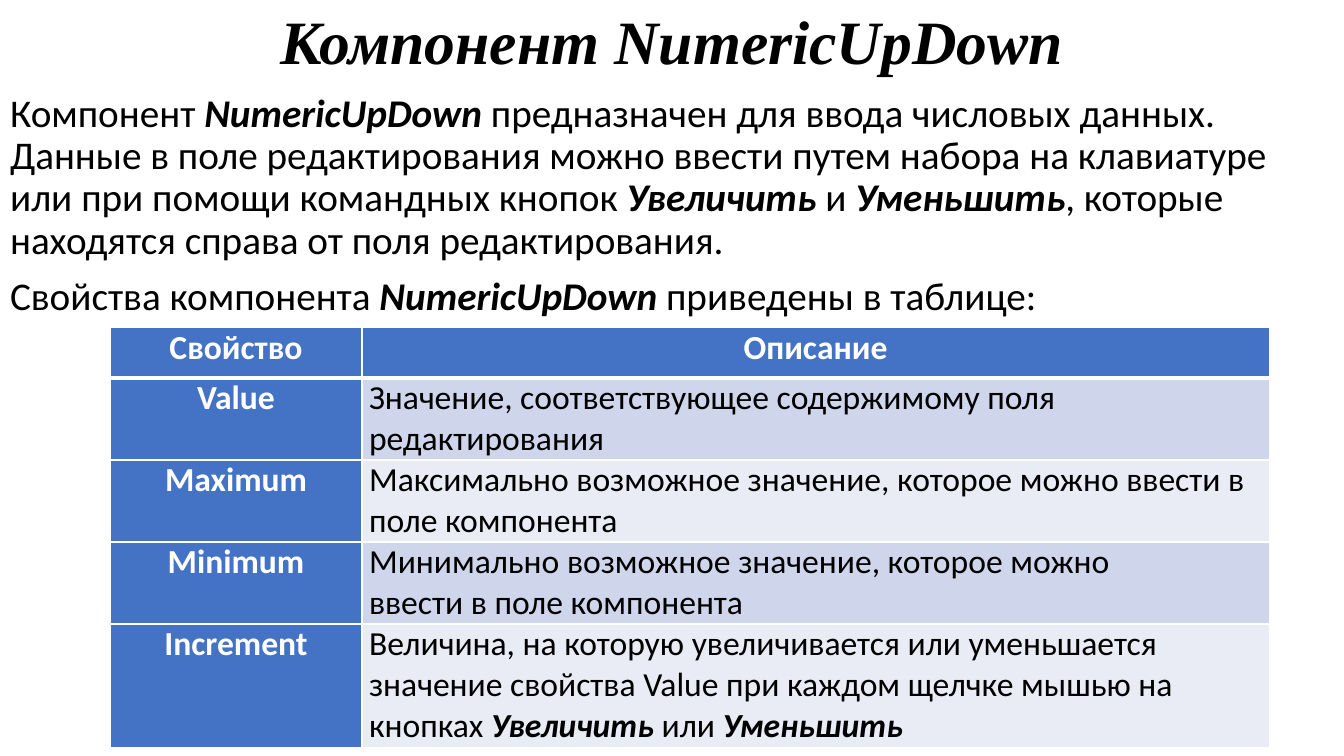
from lxml import etree
from pptx import Presentation
from pptx.dml.color import RGBColor
from pptx.enum.text import MSO_ANCHOR, MSO_AUTO_SIZE, PP_ALIGN
from pptx.oxml.ns import qn
from pptx.util import Inches, Pt

CENTER, LEFT, JUSTIFY = PP_ALIGN.CENTER, PP_ALIGN.LEFT, PP_ALIGN.JUSTIFY
TOP, MIDDLE = MSO_ANCHOR.TOP, MSO_ANCHOR.MIDDLE
NO_FIT = MSO_AUTO_SIZE.NONE

SLIDE_COLUMNS, SLIDE_ROWS = 160, 90
SLIDE_WIDTH, SLIDE_HEIGHT = Inches(13.33), Inches(7.5)

COLORS = {
    "text": "000000",
    "light": "FFFFFF",
    "accent": "4472C4",
    "odd": "CFD5EA",
    "even": "E9EBF5",
}

TITLE_FONT = {"name": "Times New Roman", "size": Pt(44), "bold": True, "italic": True}
BODY_FONT = {"name": "Calibri", "size": Pt(28)}
CELL_FONT = {"name": "Calibri", "size": Pt(24)}

# Asterisks enclose the bold italic words.
TITLE = "Компонент NumericUpDown"
BODY = [
    "Компонент *NumericUpDown *предназначен для ввода числовых данных. "
    "Данные в поле редактирования можно ввести путем набора на клавиатуре "
    "или при помощи командных кнопок *Увеличить* и *Уменьшить*, которые "
    "находятся справа от поля редактирования.",
    "Свойства компонента *NumericUpDown* приведены в таблице:",
]
PROPERTIES = [
    ("Свойство", ["Описание"]),
    ("Value", ["Значение, соответствующее содержимому поля редактирования"]),
    ("Maximum", ["Максимально возможное значение, которое можно ввести в поле компонента"]),
    ("Minimum", ["Минимально возможное значение, которое можно", "ввести в поле компонента"]),
    ("Increment", [
        "Величина, на которую увеличивается или уменьшается значение свойства "
        "Value при каждом щелчке мышью на кнопках *Увеличить* или *Уменьшить*"
    ]),
]
TABLE_COLUMNS = [30, 108]
TABLE_ROWS = [6, 7.8, 7.8, 7.8, 11.64]


def across(columns):
    return int(SLIDE_WIDTH * columns / SLIDE_COLUMNS)


def down(rows):
    return int(SLIDE_HEIGHT * rows / SLIDE_ROWS)


def set_values(target, values):
    for name, value in values.items():
        setattr(target, name, value)


def write_paragraph(paragraph, text, font, color, **layout):
    """Write text, switching to bold italic at each asterisk."""
    set_values(paragraph, layout)
    for index, part in enumerate(text.split("*")):
        if part:
            run = paragraph.add_run()
            run.text = part
            emphasis = {"bold": True, "italic": True} if index % 2 else {}
            set_values(run.font, {"bold": False, "italic": False, **font, **emphasis})
            run.font.color.rgb = RGBColor.from_string(COLORS[color])


def write_paragraphs(text_frame, texts, font, color, layouts):
    for index, (text, layout) in enumerate(zip(texts, layouts)):
        paragraph = text_frame.add_paragraph() if index else text_frame.paragraphs[0]
        write_paragraph(paragraph, text, font, color, **layout)


def place_placeholder(shape, left, top, width, height, anchor):
    set_values(shape, {"left": across(left), "top": down(top),
                       "width": across(width), "height": down(height)})
    set_values(shape.text_frame, {"word_wrap": True, "auto_size": NO_FIT,
                                  "vertical_anchor": anchor})


def remove_bullet(paragraph):
    properties = paragraph._p.get_or_add_pPr()
    set_indent = {"marL": "0", "indent": "0"}
    properties.attrib.update(set_indent)
    etree.SubElement(properties, qn("a:buNone"))


def add_title(slide):
    title = slide.shapes.title
    place_placeholder(title, 11, 0, 138, 10.5, MIDDLE)
    write_paragraph(title.text_frame.paragraphs[0], TITLE, TITLE_FONT, "text",
                    alignment=CENTER, line_spacing=0.9)


def add_body(slide):
    body = slide.placeholders[1]
    place_placeholder(body, 0, 10.5, 157.5, 76, TOP)
    layouts = [{"alignment": LEFT, "line_spacing": 0.9, "space_before": Pt(space)}
               for space in (0, 10)]
    write_paragraphs(body.text_frame, BODY, BODY_FONT, "text", layouts)
    for paragraph in body.text_frame.paragraphs:
        remove_bullet(paragraph)


def add_borders(cell, bottom_width, top_width):
    properties = cell._tc.get_or_add_tcPr()
    widths = {"lnL": 1, "lnR": 1, "lnT": top_width, "lnB": bottom_width}
    for side, width in widths.items():
        line = etree.SubElement(properties, qn(f"a:{side}"), w=str(Pt(width)))
        fill = etree.SubElement(line, qn("a:solidFill"))
        etree.SubElement(fill, qn("a:srgbClr"), val=COLORS["light"])


def format_cell(cell, row, fill):
    set_values(cell, {"margin_left": Inches(0.07), "margin_right": Inches(0.07),
                      "margin_top": 0, "margin_bottom": 0, "vertical_anchor": TOP})
    add_borders(cell, 3 if row == 0 else 1, 3 if row == 1 else 1)
    cell.fill.solid()
    cell.fill.fore_color.rgb = RGBColor.from_string(COLORS[fill])


def add_property_table(slide):
    frame = slide.shapes.add_table(
        len(TABLE_ROWS), len(TABLE_COLUMNS), across(13.1), down(39),
        across(sum(TABLE_COLUMNS)), down(sum(TABLE_ROWS)))
    table = frame.table
    table.first_col = True
    for column, width in zip(table.columns, TABLE_COLUMNS):
        column.width = across(width)
    for row, height in zip(table.rows, TABLE_ROWS):
        row.height = down(height)
    for row, (name, description) in enumerate(PROPERTIES):
        for column, texts in enumerate(([name], description)):
            cell = table.cell(row, column)
            heading = row == 0 or column == 0
            band = "odd" if row % 2 else "even"
            format_cell(cell, row, "accent" if heading else band)
            alignments = [CENTER] if heading else [LEFT, JUSTIFY]
            write_paragraphs(
                cell.text_frame, texts, {**CELL_FONT, "bold": heading},
                "light" if heading else "text",
                [{"alignment": alignment} for alignment in alignments])


def main():
    presentation = Presentation()
    set_values(presentation, {"slide_width": SLIDE_WIDTH, "slide_height": SLIDE_HEIGHT})
    slide = presentation.slides.add_slide(presentation.slide_layouts[1])
    add_title(slide)
    add_body(slide)
    add_property_table(slide)
    presentation.save("out.pptx")


if __name__ == "__main__":
    main()
